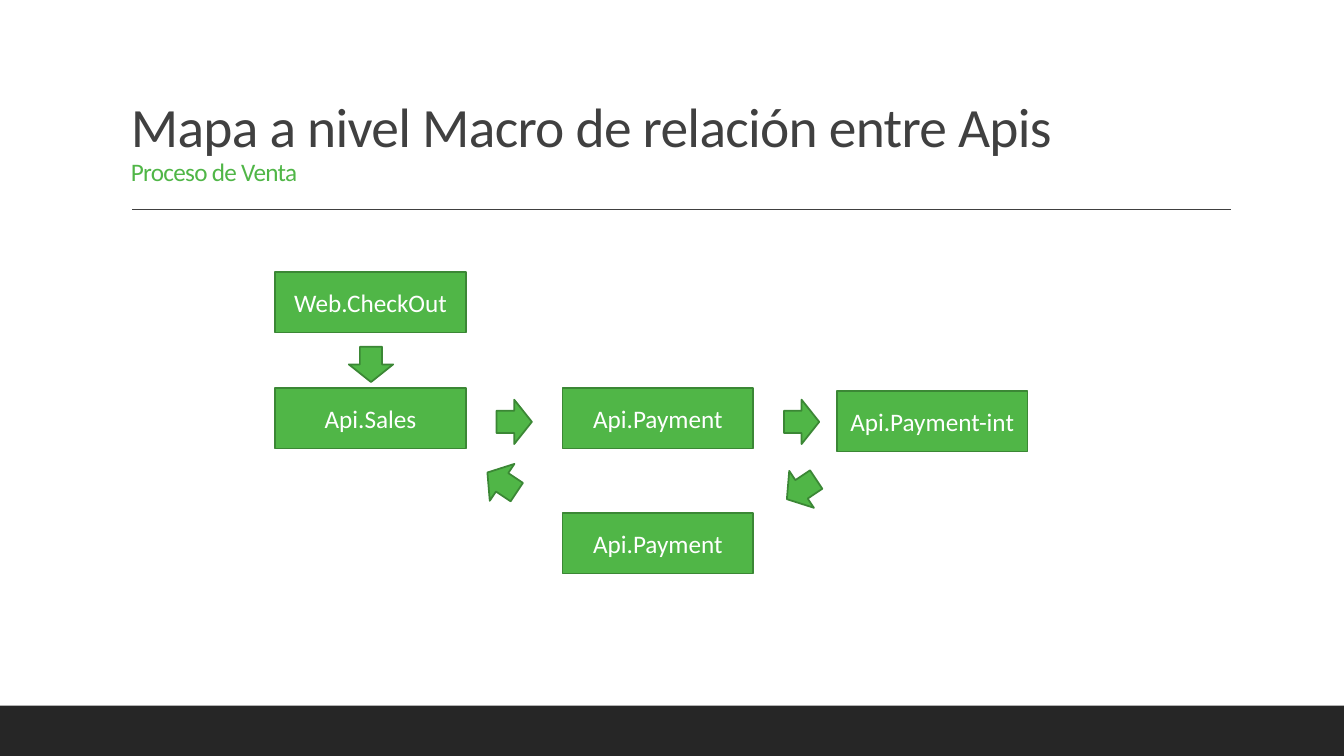
import pptx
import pptx.util
import pptx.dml.color
import pptx.enum.shapes
import pptx.enum.text
import lxml.etree

Inches = pptx.util.Inches
Pt = pptx.util.Pt
SHAPE = pptx.enum.shapes.MSO_SHAPE
ANCHOR = pptx.enum.text.MSO_ANCHOR

# Content
TITLE = "Mapa a nivel Macro de relación entre Apis"
SUBTITLE = "Proceso de Venta"
COLUMNS = (2.73, 5.58, 8.3)
CALL_ROW = 3.85
SERVICES = [  # name, left, top
    ("Web.CheckOut", COLUMNS[0], 2.7),
    ("Api.Sales", COLUMNS[0], CALL_ROW),
    ("Api.Payment", COLUMNS[1], CALL_ROW),
    ("Api.Payment-int", COLUMNS[2], 3.88),
    ("Api.Payment", COLUMNS[1], 5.09),
]
ARROWS = [  # left, top, clockwise turn from pointing down
    (3.46, 3.44, 0),
    (4.88, 4.01, 270),
    (7.73, 4.01, 270),
    (7.73, 4.68, 56.2),
    (4.76, 4.61, 123.8),
]
SERVICE_SIZE = (1.89, 0.6)
ARROW_SIZE = (0.44, 0.35)

THEME = {
    "font": "Calibri",
    "green": "50B647", "edge": "3B8735", "ink": "404040",
    "footer": "262626", "white": "FFFFFF",
    "title_size": 39.6, "text_size": 18,
    "edge_width": 1.25, "rule_width": 1, "title_spacing": -50,
}


def color(name):
    return pptx.dml.color.RGBColor.from_string(THEME[name])


def add_span(para, text, size, ink):
    span = para.add_run()
    span.text = text
    span.font.name = THEME["font"]
    span.font.size = Pt(THEME[size])
    span.font.color.rgb = color(ink)
    return span


def add_block(kind, left, top, size, fill="green", edge="edge"):
    block = page.shapes.add_shape(
        kind, Inches(left), Inches(top), Inches(size[0]), Inches(size[1]))
    block.shadow.inherit = False
    block.fill.solid()
    block.fill.fore_color.rgb = color(fill)
    if edge:
        block.line.color.rgb = color(edge)
        block.line.width = Pt(THEME["edge_width"])
    else:
        block.line.fill.background()
    return block


deck = pptx.Presentation()
deck.slide_width, deck.slide_height = Inches(13.33), Inches(7.5)
page = deck.slides.add_slide(deck.slide_layouts[6])

# Footer band and title rule
add_block(SHAPE.RECTANGLE, 0, 7, (13.33, 0.5), "footer", None)
rule = page.shapes.add_connector(
    pptx.enum.shapes.MSO_CONNECTOR.STRAIGHT,
    Inches(1.31), Inches(2.08), Inches(12.21), Inches(2.08))
rule.line.color.rgb = color("ink")
rule.line.width = Pt(THEME["rule_width"])
lxml.etree.SubElement(rule._element.spPr, pptx.oxml.ns.qn("a:effectLst"))

# Title and subtitle
box = page.shapes.add_textbox(Inches(1.2), Inches(0.99), Inches(11), Inches(0.91))
box.text_frame.word_wrap = True
box.text_frame.vertical_anchor = ANCHOR.BOTTOM
para = box.text_frame.paragraphs[0]
para.line_spacing = 0.9
heading = add_span(para, TITLE, "title_size", "ink")
para.add_line_break()
subheading = add_span(para, SUBTITLE, "text_size", "green")
for span in (heading, subheading):
    span.font._element.set("spc", str(THEME["title_spacing"]))

# Services
for name, left, top in SERVICES:
    service = add_block(SHAPE.RECTANGLE, left, top, SERVICE_SIZE)
    service.text_frame.vertical_anchor = ANCHOR.MIDDLE
    para = service.text_frame.paragraphs[0]
    para.alignment = pptx.enum.text.PP_ALIGN.CENTER
    add_span(para, name, "text_size", "white")

# Flow arrows
for left, top, turn in ARROWS:
    add_block(SHAPE.DOWN_ARROW, left, top, ARROW_SIZE).rotation = turn

deck.save("out.pptx")
